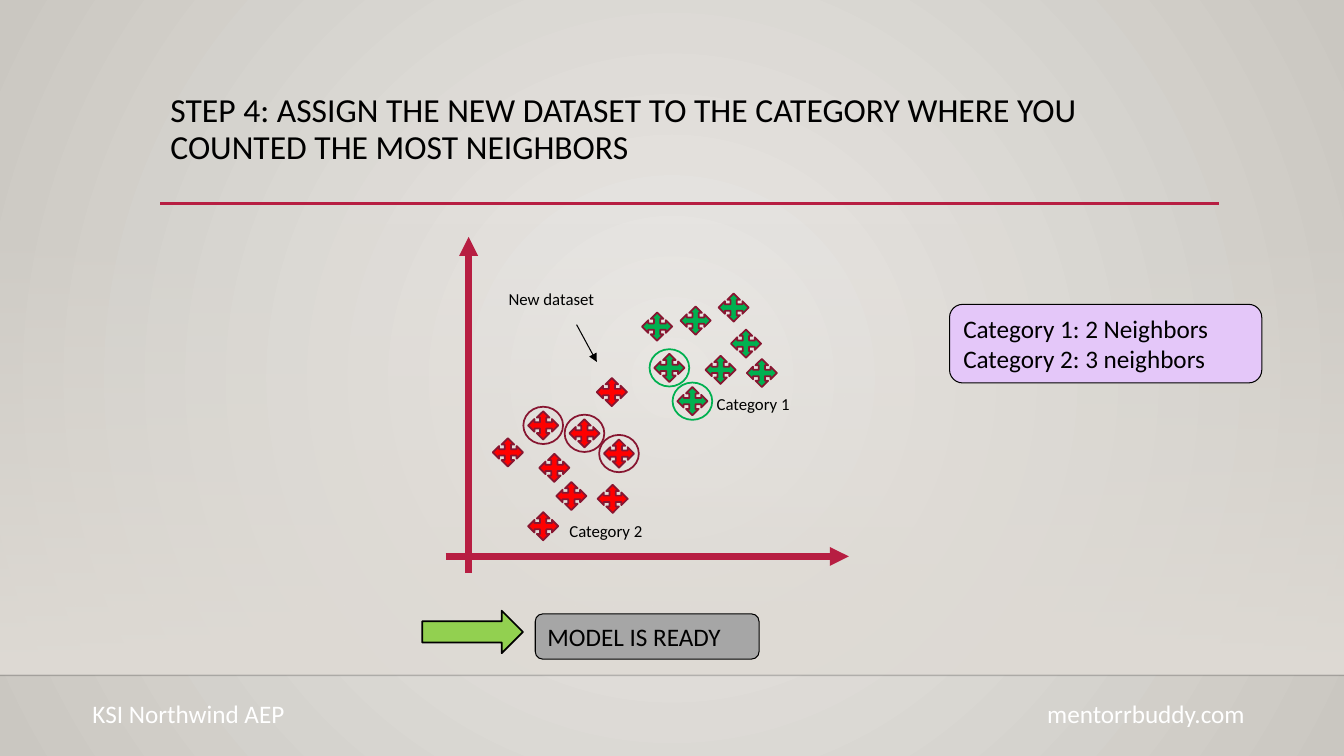
from lxml import etree
from pptx import Presentation
from pptx.dml.color import RGBColor
from pptx.enum.shapes import MSO_CONNECTOR, MSO_SHAPE
from pptx.enum.text import MSO_ANCHOR, PP_ALIGN
from pptx.oxml import parse_xml
from pptx.oxml.ns import nsdecls, qn
from pptx.util import Cm, Pt

STRAIGHT = MSO_CONNECTOR.STRAIGHT
RECTANGLE, ROUNDED = MSO_SHAPE.RECTANGLE, MSO_SHAPE.ROUNDED_RECTANGLE
OVAL, CROSS_ARROW, BLOCK_ARROW = MSO_SHAPE.OVAL, MSO_SHAPE.QUAD_ARROW, MSO_SHAPE.RIGHT_ARROW
LEFT, CENTER = PP_ALIGN.LEFT, PP_ALIGN.CENTER
TOP, MIDDLE = MSO_ANCHOR.TOP, MSO_ANCHOR.MIDDLE

FONT = "Calibri"
BLACK, WHITE = "000000", "FFFFFF"
CRIMSON, DARK_RED, RED, GREEN = "B71E42", "871631", "FF0000", "00B050"
SAND = "DFDBD5"

# Marker centres in cm; the nearest neighbors are ringed.
CATEGORY_1 = [(16.56, 8.23), (18.16, 9.32), (17.53, 8.08), (18.49, 7.75), (18.8, 8.66), (19.2, 9.4)]
CATEGORY_1_NEIGHBORS = [(16.87, 9.27), (17.45, 10.11)]
CATEGORY_2 = [(12.8, 11.4), (14.4, 12.5), (13.97, 11.79), (13.69, 13.26), (15.44, 12.57)]
CATEGORY_2_NEIGHBORS = [(13.69, 10.72), (14.73, 10.92), (15.6, 11.43)]
NEW_POINT = (15.42, 9.88)


def rgb(color):
    return RGBColor.from_string(color)


def set_background(slide):
    slide.background.fill.solid()
    properties = slide.background._cSld.find(qn("p:bg")).find(qn("p:bgPr"))
    properties.replace(properties[0], parse_xml(
        f'<a:gradFill {nsdecls("a")} rotWithShape="1"><a:gsLst>'
        '<a:gs pos="0"><a:srgbClr val="ECEAE7"/></a:gs>'
        '<a:gs pos="100000"><a:srgbClr val="CAC7C1"/></a:gs></a:gsLst>'
        '<a:path path="circle"><a:fillToRect l="50000" t="50000" r="50000" b="50000"/></a:path>'
        '</a:gradFill>'))


def set_alpha(color_element, percent):
    etree.SubElement(color_element, qn("a:alpha")).set("val", str(percent * 1000))


def add_figure(slide, kind, left, top, width, height, fill=None, line=None, weight=1.25):
    figure = slide.shapes.add_shape(kind, Cm(left), Cm(top), Cm(width), Cm(height))
    figure.shadow.inherit = False
    if fill:
        figure.fill.solid()
        figure.fill.fore_color.rgb = rgb(fill)
    else:
        figure.fill.background()
    if line:
        figure.line.color.rgb = rgb(line)
        figure.line.width = Pt(weight)
    else:
        figure.line.fill.background()
    return figure


def add_fading_band(slide):
    band = add_figure(slide, RECTANGLE, 0, 5.61, 33.87, 11.4)
    band.fill.gradient()
    band.fill.gradient_angle = 270
    for stop, position in zip(band.fill.gradient_stops, (0, 1)):
        stop.color.rgb = rgb(SAND)
        stop.position = position
    set_alpha(next(band._element.spPr.iter(qn("a:srgbClr"))), 0)


def add_line(slide, start, end, color, weight, arrow=False, alpha=None):
    line = slide.shapes.add_connector(STRAIGHT, *map(Cm, start + end))
    line.line.color.rgb = rgb(color)
    line.line.width = Pt(weight)
    properties = line._element.spPr
    if alpha is not None:
        set_alpha(next(properties.iter(qn("a:srgbClr"))), alpha)
    if arrow:
        etree.SubElement(properties.find(qn("a:ln")), qn("a:tailEnd")).set("type", "triangle")
    etree.SubElement(properties, qn("a:effectLst"))


def write(shape, lines, size, color=BLACK, align=LEFT, anchor=TOP):
    frame = shape.text_frame
    frame.word_wrap = True
    frame.vertical_anchor = anchor
    frame.text = "\n".join(lines)
    for paragraph in frame.paragraphs:
        paragraph.alignment = align
        paragraph.font.name = FONT
        paragraph.font.size = Pt(size)
        paragraph.font.color.rgb = rgb(color)


def add_label(slide, text, left, top, width, height=0.76, size=12, color=BLACK, align=LEFT):
    label = slide.shapes.add_textbox(Cm(left), Cm(top), Cm(width), Cm(height))
    write(label, [text], size, color, align)


def add_callout(slide, lines, left, top, width, height, fill):
    callout = add_figure(slide, ROUNDED, left, top, width, height, fill, BLACK, 0.75)
    write(callout, lines, 18, anchor=MIDDLE)


def add_centred(slide, kind, centre, width, height, fill, line):
    x, y = centre
    add_figure(slide, kind, x - width / 2, y - height / 2, width, height, fill, line)


def add_markers(slide, centres, color):
    for centre in centres:
        add_centred(slide, CROSS_ARROW, centre, 0.76, 0.71, color, DARK_RED)


def add_rings(slide, centres, color):
    for centre in centres:
        add_centred(slide, OVAL, centre, 1, 0.94, None, color)


def add_title(slide, text):
    title = slide.shapes.title
    title.left, title.top, title.width, title.height = map(Cm, (4.04, 2.24, 26.67, 2.92))
    write(title, [text], 24)
    title.text_frame.paragraphs[0].line_spacing = 0.9


def add_footer(slide):
    add_line(slide, (0, 17.02), (33.87, 17.02), "000001", 1, alpha=20)
    for text, left in (("KSI Northwind AEP", 2.08), ("mentorrbuddy.com", 26.14)):
        add_label(slide, text, left, 17.48, 5.64, 1.02, 18, WHITE)


def add_scatter(slide):
    add_line(slide, (11.81, 14.43), (11.81, 5.97), CRIMSON, 4.5, arrow=True)
    add_line(slide, (11.23, 14.02), (21.39, 14.02), CRIMSON, 4.5, arrow=True)
    add_markers(slide, CATEGORY_2 + CATEGORY_2_NEIGHBORS + [NEW_POINT], RED)
    add_markers(slide, CATEGORY_1 + CATEGORY_1_NEIGHBORS, GREEN)
    add_rings(slide, CATEGORY_2_NEIGHBORS, DARK_RED)
    add_rings(slide, CATEGORY_1_NEIGHBORS, GREEN)
    add_label(slide, "Category 1", 17.81, 9.8, 2.57)
    add_label(slide, "Category 2", 14.1, 13, 2.57)
    add_label(slide, "New dataset", 12.37, 7.16, 3.05, align=CENTER)
    add_line(slide, (14.53, 8.18), (15.04, 9.12), BLACK, 0.75, arrow=True)


def main():
    deck = Presentation()
    deck.slide_width, deck.slide_height = Cm(33.87), Cm(19.05)
    slide = deck.slides.add_slide(deck.slide_layouts.get_by_name("Title Only"))
    set_background(slide)
    add_fading_band(slide)
    add_footer(slide)
    add_title(slide, "STEP 4: ASSIGN THE NEW DATASET TO THE CATEGORY "
                     "WHERE YOU COUNTED THE MOST NEIGHBORS")
    add_line(slide, (4.04, 5.13), (30.73, 5.13), CRIMSON, 2.5)
    add_scatter(slide)
    add_callout(slide, ["Category 1: 2 Neighbors", "Category 2: 3 neighbors"],
                23.93, 7.67, 7.87, 1.98, "E4C7F9")
    add_figure(slide, BLOCK_ARROW, 10.64, 15.39, 2.54, 1.07, "92D050", BLACK)
    add_callout(slide, ["MODEL IS READY"], 13.49, 15.47, 5.64, 1.14, "A6A6A6")
    deck.save("out.pptx")


if __name__ == "__main__":
    main()
